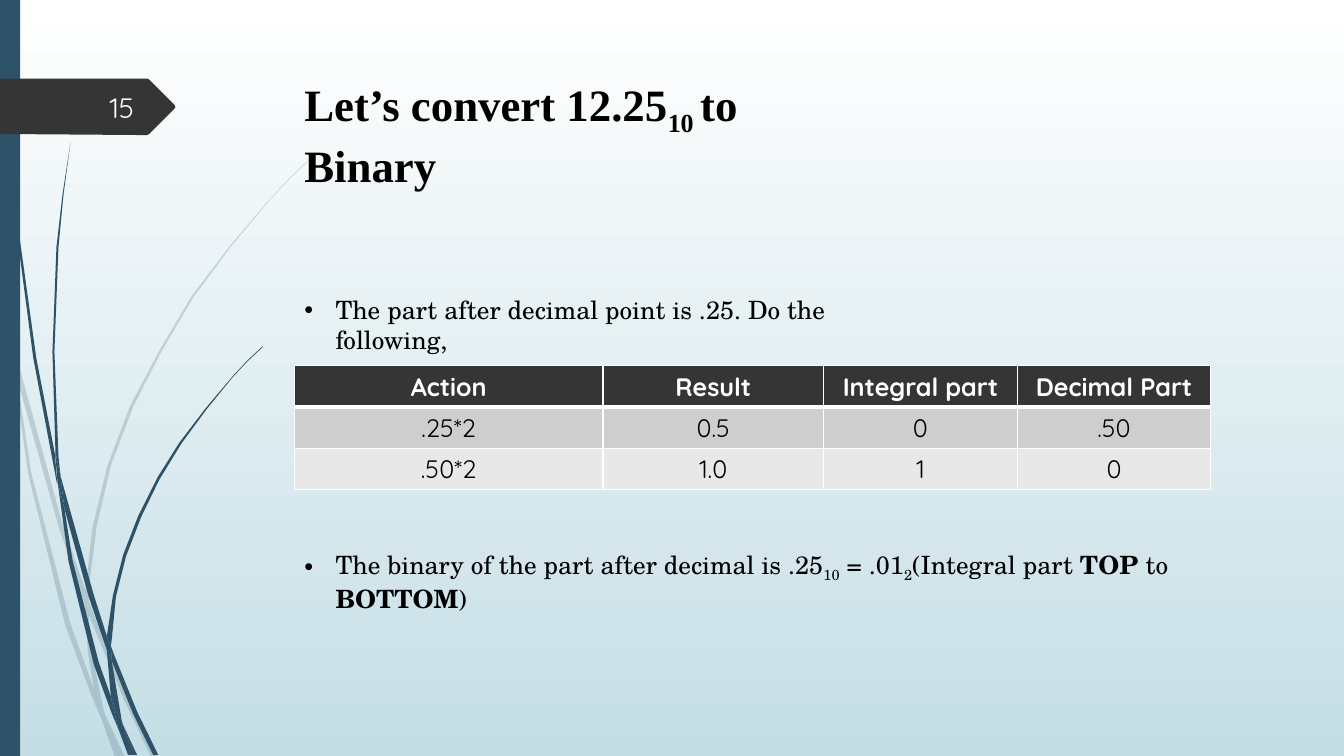
from dataclasses import dataclass
from typing import NamedTuple

from lxml import etree
from pptx import Presentation
from pptx.dml.color import RGBColor
from pptx.enum.shapes import MSO_SHAPE
from pptx.enum.text import MSO_ANCHOR, PP_ALIGN
from pptx.oxml.ns import qn
from pptx.util import Inches, Pt

RECTANGLE = MSO_SHAPE.RECTANGLE
MIDDLE = MSO_ANCHOR.MIDDLE
LEFT, CENTER, RIGHT = PP_ALIGN.LEFT, PP_ALIGN.CENTER, PP_ALIGN.RIGHT


@dataclass(frozen=True)
class Theme:
    teal: str = "2E5369"
    charcoal: str = "353535"
    black: str = "000000"
    white: str = "FFFFFF"
    number: str = "FEFFFF"
    sky: str = "C5DEE5"
    bands: tuple[str, ...] = ("CECECE", "E8E8E8")
    title_font: str = "Times New Roman"
    body_font: str = "TeX Gyre Schola"
    table_font: str = "Quicksand"
    title_size: int = 32
    number_size: int = 20
    body_size: int = 18


class Span(NamedTuple):
    text: str
    bold: bool = False
    subscript: bool = False


class Box(NamedTuple):
    left: float
    top: float
    width: float
    height: float


@dataclass(frozen=True)
class TextBlock:
    box: Box
    spans: tuple[Span, ...]
    font: str
    size: int
    color: str
    align: PP_ALIGN = LEFT
    bullet: bool = False
    anchor: MSO_ANCHOR = MSO_ANCHOR.TOP


class Spray(NamedTuple):
    opacity: int
    outlines: tuple[str, ...]


THEME = Theme()

PALE_SPRAY = Spray(20, (
    "0.11,3.5 0.09,3.22 0,2.82 0,2.99 0.1,3.44",
    "0.58,5.22 0.84,5.99 0.85,5.86 0.62,5.2 0.14,3.45 0.17,3.76",
    "0.92,6.07 0.88,5.96 0.88,6.1 1.23,6.94 1.5,7.51 1.55,7.51 1.27,6.92",
    "1.19,7.51 1.24,7.51 1.05,7.11",
    "0.93,6.83 0.7,6.19 0.31,4.69 0.17,3.76 0.11,3.5 0.28,4.7 0.65,6.21 0.92,6.93 1.01,7.14 0.99,7.07",
    "0.84,5.99 0.87,6.46 0.93,6.83 0.96,6.92 1.05,7.11 1.03,7.06 0.91,6.46 0.88,6.1 0.88,6.08",
    "0.88,5.84 0.96,5.22 1.1,4.62 1.32,4.04 1.6,3.49 1.92,2.95 2.29,2.45 2.68,1.98 2.9,1.75 3.12,1.54 "
    "3.12,1.53 2.89,1.75 2.68,1.97 2.28,2.44 1.9,2.94 1.58,3.48 1.29,4.03 1.07,4.61 0.92,5.22 0.85,5.84 "
    "0.85,5.86 0.88,5.96",
    "1.01,7.14 1.14,7.51 1.19,7.51",
    "0.88,6.08 0.88,6.1 0.88,5.96 0.85,5.86 0.84,5.99",
    "0.96,6.92 0.93,6.83 0.99,7.07 1.01,7.14 1.19,7.51 1.05,7.11",
))

DARK_SPRAY = Spray(100, (
    "0.07,1.1 0.17,2.33 0.33,3.55 0.56,4.77 0.57,4.81 0.55,4.57 0.55,4.53 0.36,3.55 0.19,2.32 0.08,1.09 "
    "0.05,0.48 0.04,0 0.03,0 0.04,0.48",
    "0.88,5.92 1.06,6.45 1.06,6.33 1.06,6.31 0.93,5.9 0.6,4.72 0.64,5.05",
    "1.13,6.49 1.1,6.41 1.11,6.56 1.32,7.08 1.52,7.49 1.57,7.49 1.36,7.06",
    "1.1,6.91 0.98,6.57 0.72,5.56 0.64,5.05 0.57,4.77 0.68,5.57 0.93,6.59 1.11,7.08 1.17,7.22 1.16,7.17",
    "0.6,4.72 0.58,4.53 0.54,3.49 0.58,2.45 0.63,1.93 0.7,1.41 0.62,1.93 0.56,2.45 0.52,3.49 0.55,4.49",
    "1.33,7.49 1.36,7.49 1.22,7.19",
    "0.57,4.77 0.64,5.05 0.6,4.72 0.55,4.49 0.55,4.53",
    "1.11,6.33 1.15,5.92 1.25,5.52 1.4,5.13 1.58,4.76 1.8,4.4 2.05,4.06 2.31,3.74 2.45,3.59 2.61,3.44 "
    "2.6,3.44 2.45,3.58 2.31,3.73 2.04,4.05 1.78,4.39 1.56,4.74 1.37,5.12 1.22,5.51 1.12,5.91 1.06,6.31 "
    "1.1,6.41",
    "1.17,7.22 1.27,7.49 1.31,7.49",
    "1.06,6.45 1.1,6.91 1.16,7.06 1.22,7.19 1.21,7.16 1.11,6.56 1.09,6.51",
    "1.06,6.45 1.09,6.51 1.11,6.56 1.1,6.41 1.06,6.31 1.06,6.33",
    "1.16,7.06 1.1,6.91 1.16,7.17 1.17,7.22 1.3,7.49 1.33,7.49 1.22,7.19",
))

NUMBER_TAG = "1.73,1.08 1.48,1.33 1.46,1.34 1.36,1.34 0,1.33 0,0.78 1.46,0.78 1.48,0.79 1.73,1.04 1.74,1.06"

TEXTS = (
    TextBlock(Box(2.92, 0.71, 5.65, 0.64),
              (Span("Let’s convert 12.25", True), Span("10 ", True, True), Span("to Binary", True)),
              THEME.title_font, THEME.title_size, THEME.black),
    TextBlock(Box(2.92, 2.87, 6.33, 1.21),
              (Span("The part after decimal point is .25. Do the following,"),),
              THEME.body_font, THEME.body_size, THEME.black, bullet=True),
    TextBlock(Box(2.92, 5.4, 9.69, 0.4),
              (Span("The binary of the part after decimal is .25"), Span("10", subscript=True),
               Span(" = .01"), Span("2", subscript=True), Span("(Integral part "),
               Span("TOP ", True), Span("to "), Span("BOTTOM", True), Span(")")),
              THEME.body_font, THEME.body_size, THEME.black, bullet=True),
    TextBlock(Box(0.58, 0.86, 0.85, 0.4), (Span("15"),),
              THEME.table_font, THEME.number_size, THEME.number, RIGHT, anchor=MIDDLE),
)

TABLE_BOX = Box(2.92, 3.63, 9.09, 1.23)
COLUMN_WIDTHS = (3.06, 2.19, 1.92, 1.92)
ROWS = (
    ("Action", "Result", "Integral part", "Decimal Part"),
    (".25*2", "0.5", "0", ".50"),
    (".50*2", "1.0", "1", "0"),
)


def rgb(color: str) -> RGBColor:
    return RGBColor.from_string(color)


def paint(sp, color: str, opacity: int = 100) -> None:
    sp.shadow.inherit = False
    sp.fill.solid()
    sp.fill.fore_color.rgb = rgb(color)
    sp.line.fill.background()
    if opacity < 100:
        clr = sp.element.spPr.find(f"{qn('a:solidFill')}/{qn('a:srgbClr')}")
        etree.SubElement(clr, qn("a:alpha"), val=str(opacity * 1000))


def draw_outline(shapes, outline: str, color: str, opacity: int = 100) -> None:
    points = [tuple(Inches(float(n)) for n in pair.split(",")) for pair in outline.split()]
    builder = shapes.build_freeform(*points[0])
    builder.add_line_segments(points[1:], close=True)
    paint(builder.convert_to_shape(), color, opacity)


def draw_spray(shapes, spray: Spray) -> None:
    group = shapes.add_group_shape()
    for outline in spray.outlines:
        draw_outline(group.shapes, outline, THEME.teal, spray.opacity)


def style(p, font: str, size: int, color: str, align: PP_ALIGN) -> None:
    p.alignment = align
    p.font.name, p.font.size = font, Pt(size)
    p.font.color.rgb = rgb(color)


def add_bullet(p) -> None:
    pPr = p._p.get_or_add_pPr()
    pPr.set("marL", str(Inches(0.31)))
    pPr.set("indent", str(Inches(-0.31)))
    bullet_font = etree.Element(qn("a:buFont"), typeface="Arial")
    bullet = etree.Element(qn("a:buChar"), char="•")
    pPr.insert(0, bullet_font)
    pPr.insert(1, bullet)


def draw_text(shapes, block: TextBlock) -> None:
    tf = shapes.add_textbox(*map(Inches, block.box)).text_frame
    tf.word_wrap = True
    tf.vertical_anchor = block.anchor
    p = tf.paragraphs[0]
    style(p, block.font, block.size, block.color, block.align)
    if block.bullet:
        add_bullet(p)
    for span in block.spans:
        r = p.add_run()
        r.text, r.font.bold = span.text, span.bold
        if span.subscript:
            r._r.get_or_add_rPr().set("baseline", "-25000")


def add_borders(cell, bottom: int, top: int) -> None:
    tcPr = cell._tc.get_or_add_tcPr()
    for i, (side, width) in enumerate((("L", 1), ("R", 1), ("T", top), ("B", bottom))):
        ln = etree.Element(qn(f"a:ln{side}"), w=str(Pt(width)))
        fill = etree.SubElement(ln, qn("a:solidFill"))
        etree.SubElement(fill, qn("a:srgbClr"), val=THEME.white)
        tcPr.insert(i, ln)


def draw_table(shapes) -> None:
    table = shapes.add_table(len(ROWS), len(COLUMN_WIDTHS), *map(Inches, TABLE_BOX)).table
    for column, width in zip(table.columns, COLUMN_WIDTHS):
        column.width = Inches(width)
    for i, row in enumerate(ROWS):
        header = i == 0
        for j, text in enumerate(row):
            cell = table.cell(i, j)
            cell.fill.solid()
            cell.fill.fore_color.rgb = rgb(THEME.charcoal if header else THEME.bands[i - 1])
            add_borders(cell, bottom=3 if header else 1, top=3 if i == 1 else 1)
            p = cell.text_frame.paragraphs[0]
            style(p, THEME.table_font, THEME.body_size, THEME.white if header else THEME.black, CENTER)
            r = p.add_run()
            r.text, r.font.bold = text, header


def main() -> None:
    prs = Presentation()
    prs.slide_width, prs.slide_height = Inches(13.33), Inches(7.5)
    s = prs.slides.add_slide(prs.slide_layouts[6])
    fill = s.background.fill
    fill.gradient()
    fill.gradient_angle = 270
    for stop, color, position in zip(fill.gradient_stops, (THEME.white, THEME.sky), (0, 1)):
        stop.color.rgb, stop.position = rgb(color), position
    for spray in (PALE_SPRAY, DARK_SPRAY):
        draw_spray(s.shapes, spray)
    paint(s.shapes.add_shape(RECTANGLE, 0, 0, Inches(0.2), prs.slide_height), THEME.teal)
    draw_outline(s.shapes, NUMBER_TAG, THEME.charcoal)
    for block in TEXTS:
        draw_text(s.shapes, block)
    draw_table(s.shapes)
    prs.save("out.pptx")


if __name__ == "__main__":
    main()
